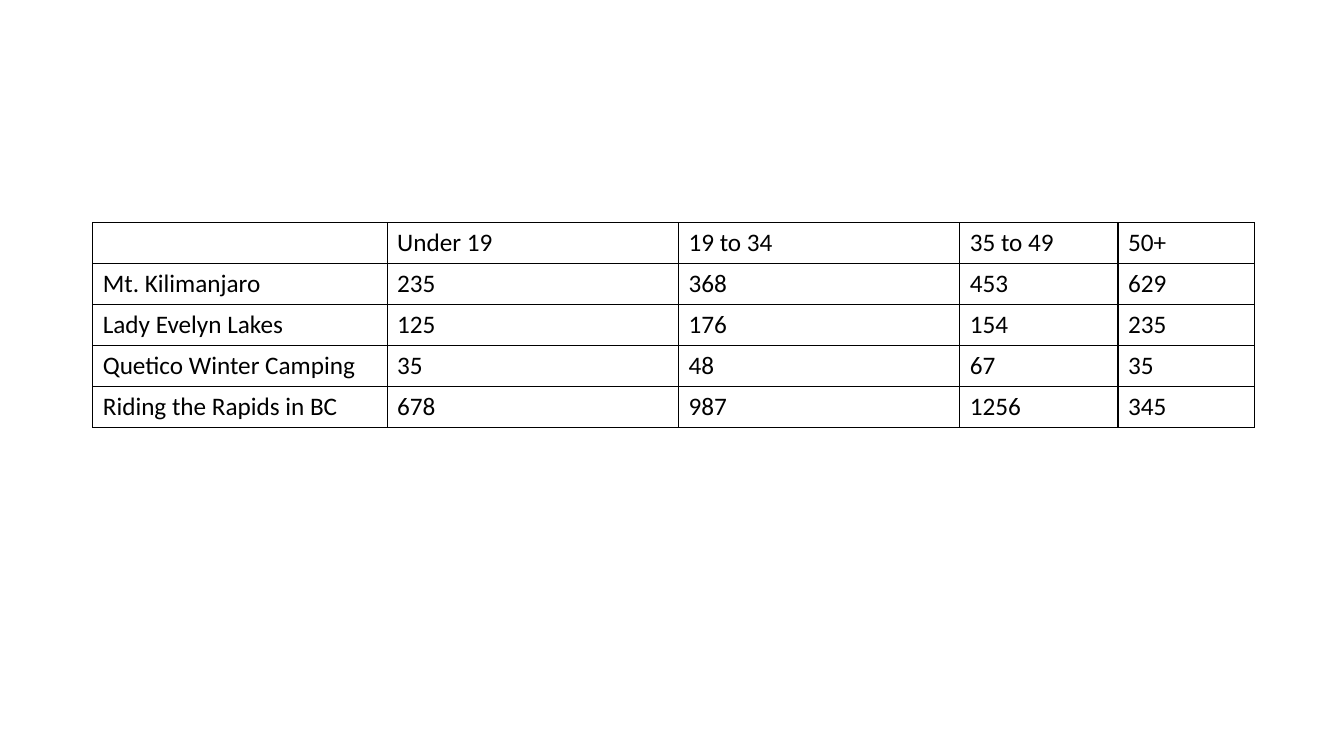
from dataclasses import dataclass

from lxml.etree import SubElement
from pptx import Presentation
from pptx.dml.color import RGBColor
from pptx.oxml.ns import qn
from pptx.util import Inches, Pt


@dataclass(frozen=True)
class Theme:
    font: str = "Calibri"
    text_size: int = 18
    ink: str = "000000"
    paper: str = "FFFFFF"
    border_width: int = 1


THEME = Theme()

# Trip bookings by age group
AGE_GROUPS = ["", "Under 19", "19 to 34", "35 to 49", "50+"]
TRIPS = [
    ["Mt. Kilimanjaro", 235, 368, 453, 629],
    ["Lady Evelyn Lakes", 125, 176, 154, 235],
    ["Quetico Winter Camping", 35, 48, 67, 35],
    ["Riding the Rapids in BC", 678, 987, 1256, 345],
]
COLUMN_WIDTHS = [2.92, 2.89, 2.79, 1.57, 1.35]


def add_borders(cell):
    """Draw a solid line on all four sides of a cell."""
    properties = cell._tc.get_or_add_tcPr()
    for side in ("a:lnL", "a:lnR", "a:lnT", "a:lnB"):
        line = SubElement(properties, qn(side), w=str(Pt(THEME.border_width)))
        fill = SubElement(line, qn("a:solidFill"))
        SubElement(fill, qn("a:srgbClr"), val=THEME.ink)


def format_cell(cell, value):
    add_borders(cell)
    cell.fill.solid()
    cell.fill.fore_color.rgb = RGBColor.from_string(THEME.paper)
    if value == "":
        return
    run = cell.text_frame.paragraphs[0].add_run()
    run.text = str(value)
    font_format = {"name": THEME.font, "size": Pt(THEME.text_size), "bold": False}
    for attribute, setting in font_format.items():
        setattr(run.font, attribute, setting)
    run.font.color.rgb = RGBColor.from_string(THEME.ink)


def add_grid(slide, rows, left, top, height):
    """Add a plain bordered table with equal row heights."""
    shape = slide.shapes.add_table(
        len(rows), len(COLUMN_WIDTHS), Inches(left), Inches(top),
        Inches(sum(COLUMN_WIDTHS)), Inches(height))
    table = shape.table
    table_format = {"first_row": False, "horz_banding": False}
    for attribute, setting in table_format.items():
        setattr(table, attribute, setting)
    for column, width in zip(table.columns, COLUMN_WIDTHS):
        column.width = Inches(width)
    for table_row, values in zip(table.rows, rows):
        for cell, value in zip(table_row.cells, values):
            format_cell(cell, value)


def main():
    presentation = Presentation()
    presentation.slide_width = Inches(13.33)
    presentation.slide_height = Inches(7.5)

    # Blank layout, since the slide holds only the table
    slide = presentation.slides.add_slide(presentation.slide_layouts[6])
    add_grid(slide, [AGE_GROUPS, *TRIPS], left=0.92, top=2.21, height=2.03)

    presentation.save("out.pptx")


if __name__ == "__main__":
    main()
